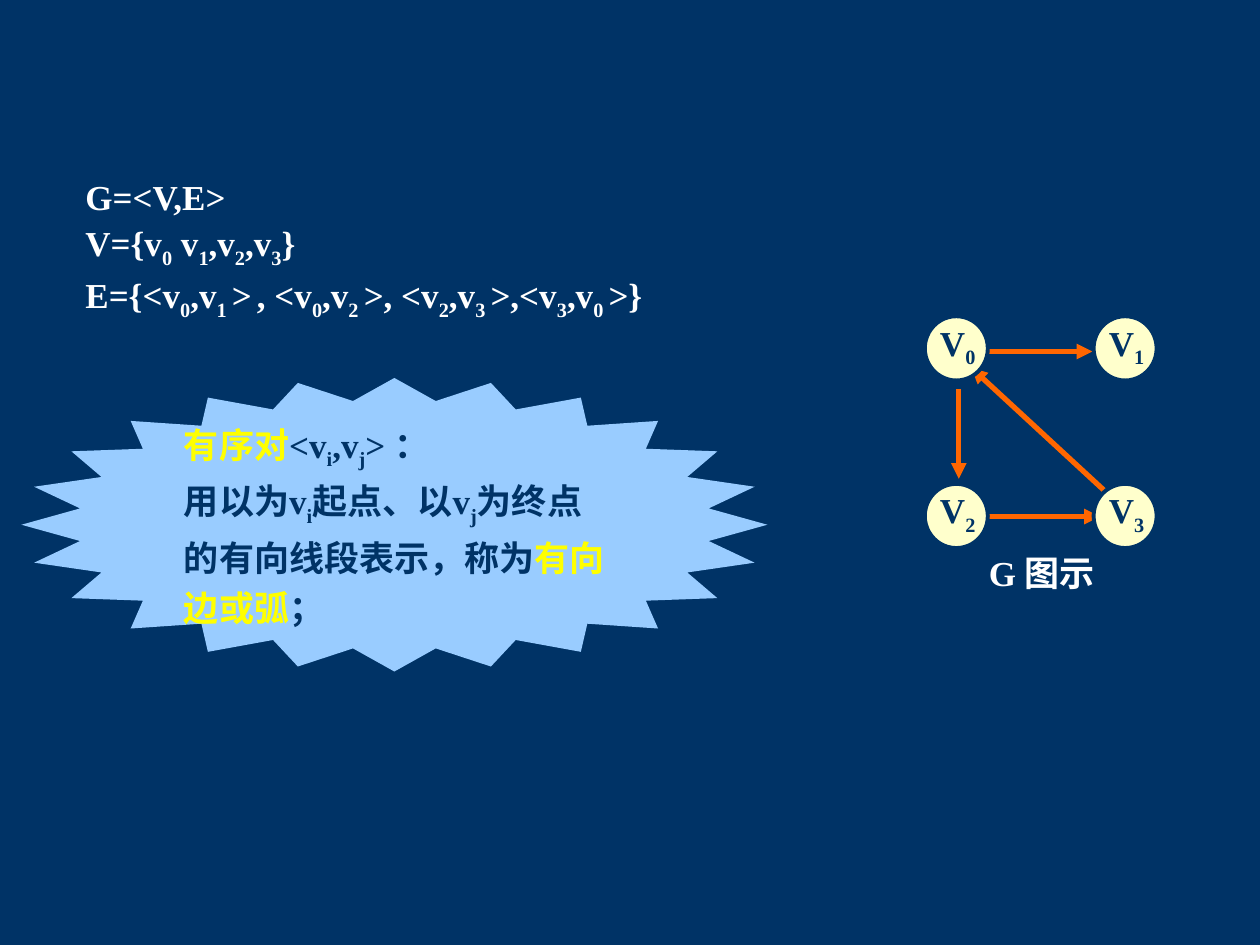
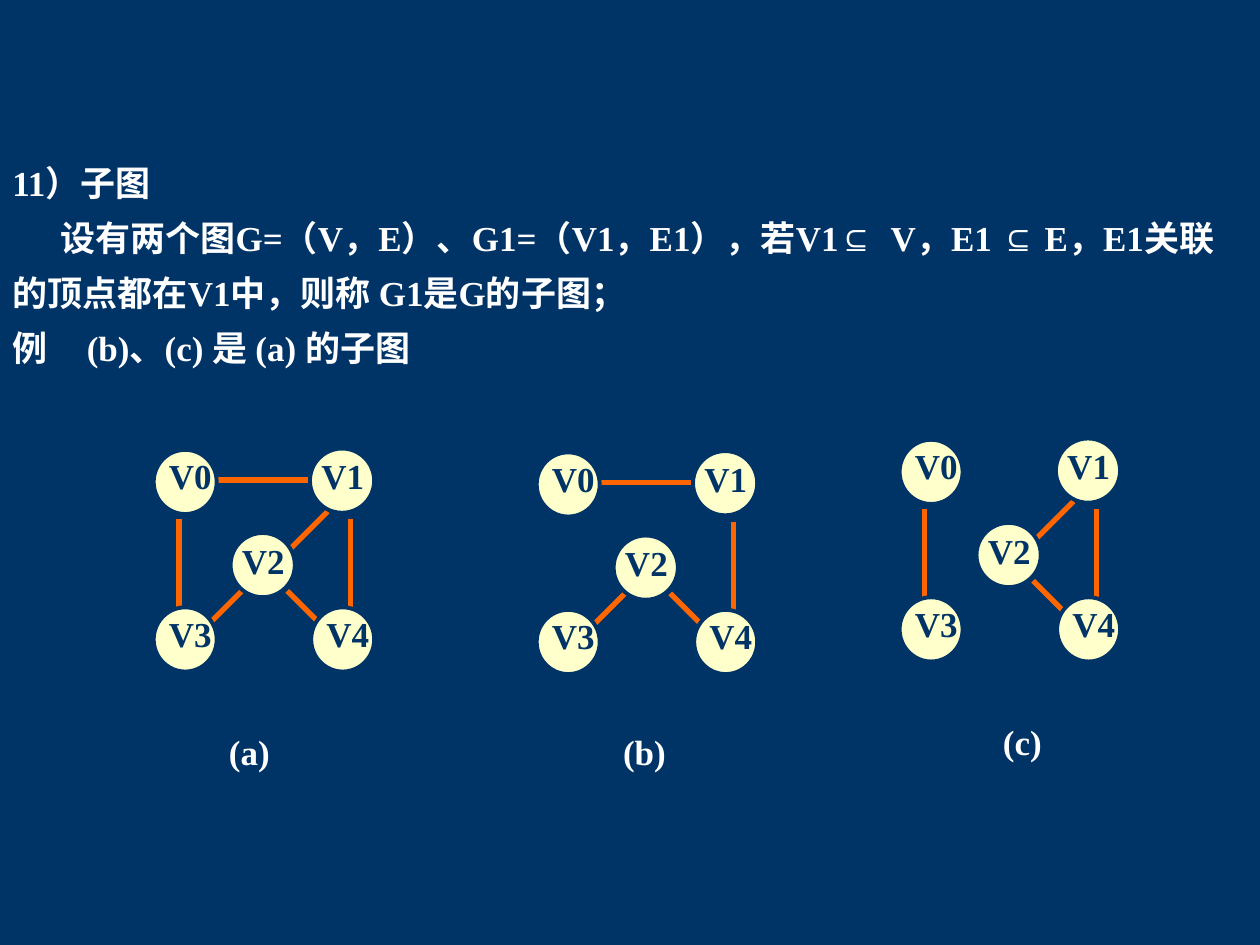
from math import cos, pi, sin

from lxml import etree
from pptx import Presentation
from pptx.dml.color import RGBColor
from pptx.enum.shapes import MSO_CONNECTOR as CONN, MSO_SHAPE as SHAPE
from pptx.enum.text import MSO_ANCHOR as ANCHOR, PP_ALIGN as ALIGN
from pptx.oxml.ns import qn
from pptx.util import Inches, Pt

COLORS = {
    "navy": "003366",
    "white": "FFFFFF",
    "node": "FFFFCC",
    "edge": "FF6600",
    "burst": "99CCFF",
    "mark": "FFFF00",
}
FONT, SYMBOL_FONT = "Times New Roman", "Arial"
SIZE = Pt(20)
NODE_H = 0.51
NARROW, WIDE = 0.5, 0.51
LABEL_SHIFT = {NARROW: (-0.05, -0.01), WIDE: (-0.08, 0)}

DIRECTED_NODES = {
    "V|0": (0, 0, NARROW),
    "V|1": (1.34, 0, NARROW),
    "V|2": (0, 1.33, NARROW),
    "V|3": (1.34, 1.33, NARROW),
}
DIRECTED_EDGES = [
    (0.27, 0.58, 0.27, 1.29),
    (0.51, 1.59, 1.39, 1.59),
    (0.51, 0.28, 1.33, 0.28),
    (1.54, 1.49, 0.37, 0.41),
]
SUBGRAPH_NODES = {
    "V0": (0, 0, NARROW),
    "V4": (1.25, 1.25, NARROW),
    "V3": (0, 1.25, NARROW),
    "V1": (1.24, -0.01, WIDE),
    "V2": (0.61, 0.66, WIDE),
}
SUBGRAPH_EDGES = {
    "V0V3": (0.2, 0.55, 0.2, 1.27),
    "V0V1": (0.49, 0.24, 1.32, 0.24),
    "V1V4": (1.56, 0.55, 1.56, 1.27),
    "V2V3": (0.73, 1.09, 0.43, 1.39),
    "V1V2": (1.38, 0.49, 1.08, 0.79),
    "V2V4": (1.06, 1.12, 1.32, 1.38),
}
SUBGRAPHS = [
    ("(a)", (1.22, 3.57), (1, 5.75, 1.96, 0.44), list(SUBGRAPH_EDGES)),
    ("(b)", (4.26, 3.59), (4.5, 5.75, 1.23, 0.44),
     ["V0V1", "V1V4", "V2V3", "V2V4"]),
    ("(c)", (7.14, 3.49), (7.5, 5.67, 1.23, 0.44),
     ["V0V3", "V1V4", "V1V2", "V2V4"]),
]


def rgb(name):
    """Return the named colour."""
    return RGBColor.from_string(COLORS[name])


def add_runs(p, text):
    """Add runs: | toggles subscript, * toggles highlight, ~ toggles the symbol font."""
    sub = mark = symbol = False
    for piece in text.replace("|", "\0|\0").replace("*", "\0*\0").replace("~", "\0~\0").split("\0"):
        if piece == "|":
            sub = not sub
        elif piece == "*":
            mark = not mark
        elif piece == "~":
            symbol = not symbol
        elif piece:
            r = p.add_run()
            r.text = piece
            if sub:
                r._r.get_or_add_rPr().set("baseline", "-25000")
            if mark:
                r.font.color.rgb = rgb("mark")
            if symbol:
                r.font.name = SYMBOL_FONT


def write(tf, lines, color, gap=0, align=ALIGN.LEFT):
    """Fill a text frame with one paragraph per line."""
    for i, line in enumerate(lines):
        p = tf.add_paragraph() if i else tf.paragraphs[0]
        p.alignment = align
        p.space_before = Pt(gap if i else 0)
        p.font.name, p.font.size, p.font.bold = FONT, SIZE, True
        p.font.color.rgb = rgb(color)
        add_runs(p, line)


def add_text(shapes, box, lines, color="white", gap=0, align=ALIGN.LEFT):
    """Add a wrapping text box and return its frame."""
    tf = shapes.add_textbox(*map(Inches, box)).text_frame
    tf.word_wrap = True
    write(tf, lines, color, gap, align)
    return tf


def add_edge(shapes, origin, ends, arrow):
    """Draw one edge, given relative to the graph's origin."""
    x, y = origin
    x1, y1, x2, y2 = ends
    c = shapes.add_connector(CONN.STRAIGHT, Inches(x + x1), Inches(y + y1),
                             Inches(x + x2), Inches(y + y2))
    c.line.color.rgb = rgb("edge")
    c.line.width = Pt(3)
    if arrow:
        etree.SubElement(c.line._get_or_add_ln(), qn("a:tailEnd"), type="triangle")
    etree.SubElement(c._element.spPr, qn("a:effectLst"))


def add_node(shapes, x, y, label, width):
    """Draw a round vertex with its label."""
    sp = shapes.add_shape(SHAPE.OVAL, *map(Inches, (x, y, width, NODE_H)))
    sp.shadow.inherit = False
    sp.fill.solid()
    sp.fill.fore_color.rgb = rgb("node")
    sp.line.color.rgb = rgb("navy")
    sp.line.width = Pt(2.25)
    dx, dy = LABEL_SHIFT[width]
    tf = add_text(shapes, (x + dx, y + dy, 0.71, 0.44), [label], "navy")
    tf.margin_left = Inches(0.17)


def add_graph(s, origin, nodes, edges, arrow=False):
    """Draw a grouped graph with its top left vertex at the origin."""
    shapes = s.shapes.add_group_shape().shapes
    for ends in edges:
        add_edge(shapes, origin, ends, arrow)
    for label, (dx, dy, width) in nodes.items():
        add_node(shapes, origin[0] + dx, origin[1] + dy, label, width)


def add_burst(s, box, lines, points=24, inner=0.85):
    """Draw a starburst that fills the box and holds the lines."""
    x, y, w, h = box
    outline = []
    for k in range(2 * points):
        angle = pi + pi * k / points
        radius = inner if k % 2 else 1
        outline.append((Inches(x + w / 2 * (1 + radius * cos(angle))),
                        Inches(y + h / 2 * (1 + radius * sin(angle)))))
    builder = s.shapes.build_freeform(*outline[0])
    builder.add_line_segments(outline[1:], close=True)
    sp = builder.convert_to_shape()
    sp.shadow.inherit = False
    sp.fill.solid()
    sp.fill.fore_color.rgb = rgb("burst")
    sp.line.fill.background()
    tf = sp.text_frame
    tf.word_wrap = True
    tf.margin_left = Inches(1.29)
    tf.margin_top = Inches(0.07)
    tf.vertical_anchor = ANCHOR.MIDDLE
    write(tf, lines, "navy", 5)


def directed_slide(s):
    """Build the slide on directed graphs."""
    add_text(s.shapes, (7.17, 4.33, 2.2, 0.44), ["G 图示"], align=ALIGN.CENTER)
    add_burst(s, (0.17, 3, 5.92, 2.33), [
        "*有序对*<v|i|,v|j|> ：",
        "用以为v|i|起点、以v|j|为终点",
        "的有向线段表示，称为*有向*",
        "*边或弧*；",
    ])
    add_graph(s, (7.34, 2.51), DIRECTED_NODES, DIRECTED_EDGES, arrow=True)
    add_text(s.shapes, (0.58, 1.34, 7.33, 1.26), [
        "G=<V,E>",
        "V={v|0| v|1|,v|2|,v|3|}",
        "E={<v|0|,v|1 |>| |, <v|0|,v|2 |>, <v|2|,v|3 |>,<v|3|,v|0 |>}",
    ], gap=2.5)


def subgraph_slide(s):
    """Build the slide on subgraphs."""
    tf = add_text(s.shapes, (0, 1.23, 9.75, 2.08), [
        "11）子图",
        "设有两个图G=（V，E）、G1=（V1，E1），若V1~⊆~  V，E1 ~⊆~ E，E1关联",
        "的顶点都在V1中，则称 G1是G的子图；",
        "例\t(b)、(c) 是 (a) 的子图",
    ], gap=7.5)
    definition, example = (tf.paragraphs[i]._p.get_or_add_pPr() for i in (1, 3))
    definition.set("marL", str(Inches(0.5)))
    definition.set("indent", str(Inches(-0.12)))
    tabs = etree.Element(qn("a:tabLst"))
    etree.SubElement(tabs, qn("a:tab"), pos=str(Inches(0.59)), algn="l")
    example.find(qn("a:defRPr")).addprevious(tabs)
    for caption, origin, box, edges in SUBGRAPHS:
        add_text(s.shapes, box, [caption], align=ALIGN.CENTER)
        add_graph(s, origin, SUBGRAPH_NODES, [SUBGRAPH_EDGES[e] for e in edges])


def main():
    """Build and save the presentation."""
    prs = Presentation()
    prs.slide_width, prs.slide_height = Inches(10), Inches(7.5)
    fill = prs.slide_master.background.fill
    fill.solid()
    fill.fore_color.rgb = rgb("navy")
    for build in (directed_slide, subgraph_slide):
        build(prs.slides.add_slide(prs.slide_layouts[6]))
    prs.save("out.pptx")


if __name__ == "__main__":
    main()
